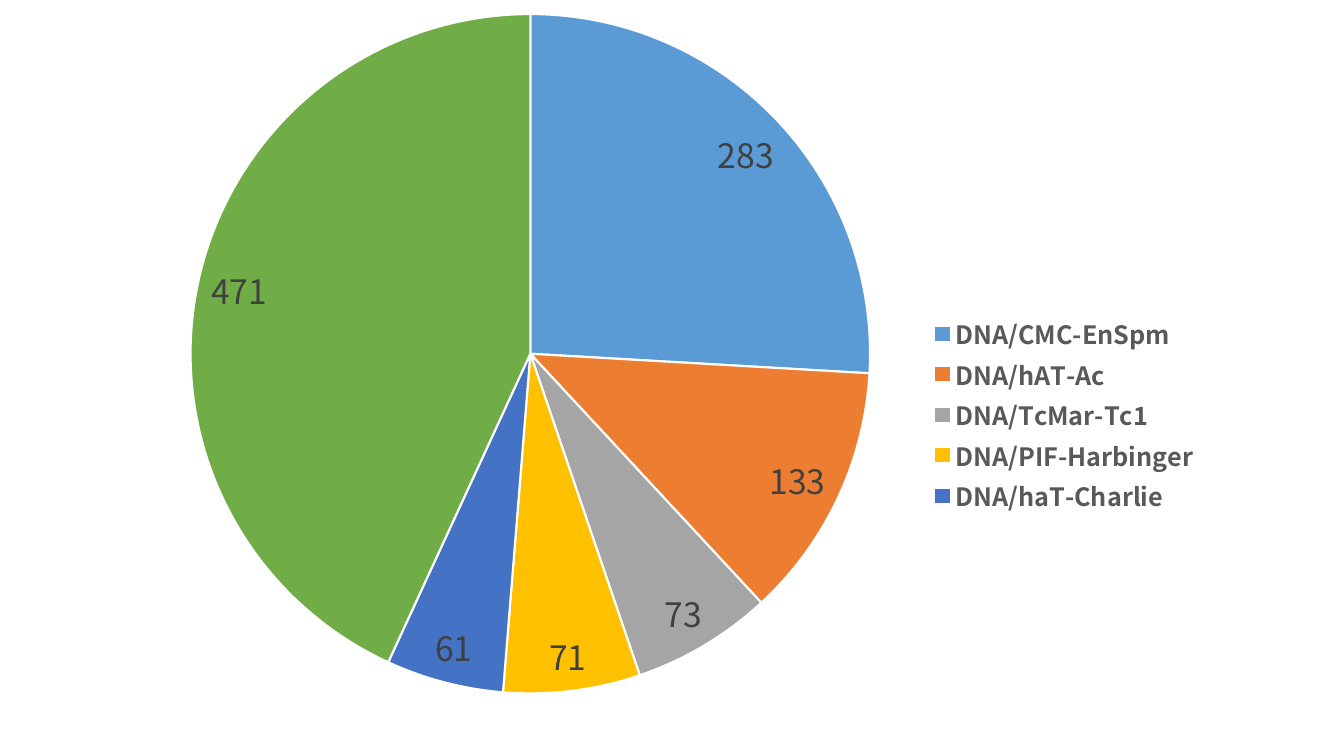
from pptx import Presentation
from pptx.chart.data import CategoryChartData
from pptx.dml.color import RGBColor
from pptx.enum import chart as kinds
from pptx.oxml import parse_xml, ns
from pptx.util import Inches, Pt

# Content: family, count, colour key (the last slice has no name)
FAMILIES = [
    ("DNA/CMC-EnSpm", 283, "blue"),
    ("DNA/hAT-Ac", 133, "orange"),
    ("DNA/TcMar-Tc1", 73, "grey"),
    ("DNA/PIF-Harbinger", 71, "yellow"),
    ("DNA/haT-Charlie", 61, "navy"),
    ("", 471, "green"),
]
COLORS = {
    "blue": "5B9BD5", "orange": "ED7D31", "grey": "A5A5A5",
    "yellow": "FFC000", "navy": "4472C4", "green": "70AD47",
    "edge": "FFFFFF", "label": "404040", "legend": "595959", "text": "000000",
}
FONT = "Noto Sans CJK SC"
WIDTH, HEIGHT = 13.33, 7.5
PIE_AREA = (1.89, 0.14, 6.74, 6.74)  # left, top, width, height in inches
LEGEND_AREA = (9.18, 3.09, 2.75, 2.05)


def color(name):
    return RGBColor.from_string(COLORS[name])


def style_font(font, size, color_name, bold=False):
    font.name, font.size, font.bold = FONT, Pt(size), bold
    font.color.rgb = color(color_name)


def manual_layout(area, target=""):
    """Build a chart layout from a rectangle in inches."""
    left, top, width, height = area
    fractions = {"x": left / WIDTH, "y": top / HEIGHT,
                 "w": width / WIDTH, "h": height / HEIGHT}
    modes = '<c:xMode val="edge"/><c:yMode val="edge"/>'
    sizes = "".join(f'<c:{key} val="{value:.4f}"/>' for key, value in fractions.items())
    return parse_xml(f'<c:layout {ns.nsdecls("c")}><c:manualLayout>'
                     f'{target}{modes}{sizes}</c:manualLayout></c:layout>')


def drop_layout(parent):
    for old in parent.findall(ns.qn("c:layout")):
        parent.remove(old)


deck = Presentation()
deck.slide_width, deck.slide_height = Inches(WIDTH), Inches(HEIGHT)
page = deck.slides.add_slide(deck.slide_layouts[6])

# Pie chart
data = CategoryChartData()
data.categories = [name for name, _, _ in FAMILIES]
data.add_series("", [count for _, count, _ in FAMILIES])
chart = page.shapes.add_chart(kinds.XL_CHART_TYPE.PIE, 0, 0,
                              deck.slide_width, deck.slide_height, data).chart
chart.has_title = False
style_font(chart.font, 10, "text")
plot = chart.plots[0]
plot.vary_by_categories = True
series = plot.series[0]
for index, (_, _, fill_name) in enumerate(FAMILIES):
    slice_format = series.points[index].format
    slice_format.fill.solid()
    slice_format.fill.fore_color.rgb = color(fill_name)
    slice_format.line.color.rgb = color("edge")
    slice_format.line.width = Pt(1.5)

# Value labels
labels = series.data_labels
labels.show_value = True
labels.position = kinds.XL_LABEL_POSITION.BEST_FIT
style_font(labels.font, 24, "label")

# Legend
chart.has_legend = True
legend = chart.legend
legend.position = kinds.XL_LEGEND_POSITION.RIGHT
legend.include_in_layout = False
style_font(legend.font, 18, "legend", bold=True)

# Placement of pie and legend, without a key for the unnamed slice
plot_area = chart._chartSpace.chart.plotArea
drop_layout(plot_area)
plot_area.insert(0, manual_layout(PIE_AREA, '<c:layoutTarget val="inner"/>'))
legend_xml = legend._element
drop_layout(legend_xml)
unnamed = len(FAMILIES) - 1
entry = parse_xml(f'<c:legendEntry {ns.nsdecls("c")}><c:idx val="{unnamed}"/>'
                  '<c:delete val="1"/></c:legendEntry>')
legend_xml.find(ns.qn("c:legendPos")).addnext(entry)
entry.addnext(manual_layout(LEGEND_AREA))

deck.save("out.pptx")
